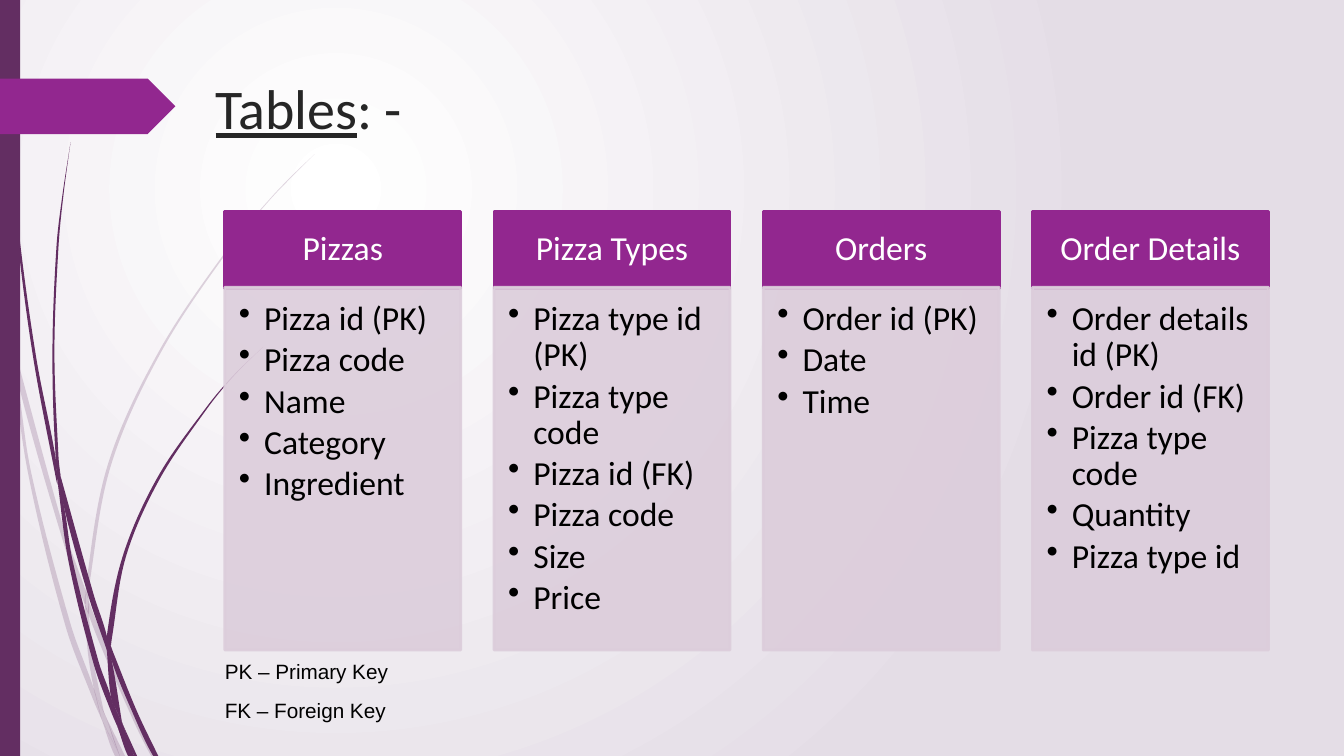
"""Build the slide that lists the tables of a pizza sales database."""
from math import dist
from lxml.etree import SubElement
from pptx import Presentation
from pptx.dml.color import RGBColor
from pptx.enum.shapes import MSO_SHAPE as Preset
from pptx.enum.text import MSO_ANCHOR as Anchor, MSO_AUTO_SIZE as AutoSize, PP_ALIGN as Align
from pptx.oxml.ns import qn
from pptx.util import Inches, Pt

TITLE = ("Tables", ": -")
TABLES = {
    "Pizzas": ["Pizza id (PK)", "Pizza code", "Name", "Category", "Ingredient"],
    "Pizza Types": ["Pizza type id (PK)", "Pizza type code", "Pizza id (FK)",
                    "Pizza code", "Size", "Price"],
    "Orders": ["Order id (PK)", "Date", "Time"],
    "Order Details": ["Order details id (PK)", "Order id (FK)", "Pizza type code",
                      "Quantity", "Pizza type id"],
}
KEY_NOTES = ["PK – Primary Key", "FK – Foreign Key"]

PLUM, PURPLE, LILAC = "632E62", "92278F", "DCCDDB"
WHITE, MIST, BLACK, CHARCOAL = "FFFFFF", "E4DDE6", "000000", "262626"
COLUMN_LEFT, COLUMN_PITCH, COLUMN_WIDTH = 2.23, 2.67, 2.34
HEADER_TOP, HEADER_HEIGHT = 2.1, 0.76
FIELDS_TOP, FIELDS_HEIGHT = 2.85, 3.6

FAINT_WISPS = [
    ([(0, 2.82), (0.09, 3.22), (0.11, 3.5)], [(0.1, 3.44), (0, 2.99)]),
    ([(0.14, 3.45), (0.62, 5.2), (0.85, 5.86)], [(0.84, 5.99), (0.58, 5.22), (0.17, 3.76)]),
    ([(0.88, 5.96), (0.92, 6.07), (1.27, 6.92), (1.55, 7.5)],
     [(1.5, 7.5), (1.23, 6.94), (0.88, 6.1)]),
    ([(1.05, 7.11), (1.24, 7.5)], [(1.19, 7.5)]),
    ([(0.11, 3.5), (0.17, 3.76), (0.31, 4.69), (0.7, 6.19), (0.93, 6.83), (1.01, 7.14)],
     [(0.92, 6.93), (0.65, 6.21), (0.28, 4.7)]),
    ([(0.84, 5.99), (0.88, 6.1), (0.91, 6.46), (1.03, 7.06), (1.05, 7.11)],
     [(0.96, 6.92), (0.93, 6.83), (0.87, 6.46)]),
    ([(3.12, 1.53), (2.89, 1.75), (2.68, 1.97), (2.28, 2.44), (1.58, 3.48), (1.07, 4.61),
      (0.85, 5.84), (0.88, 5.96)],
     [(0.88, 5.84), (1.1, 4.62), (1.6, 3.49), (2.29, 2.45), (2.68, 1.98), (2.9, 1.75)]),
    ([(1.01, 7.14), (1.19, 7.5)], [(1.14, 7.5)]),
    ([(0.85, 5.86), (0.88, 5.96), (0.88, 6.1)], [(0.84, 5.99)]),
    ([(0.93, 6.83), (0.96, 6.92), (1.05, 7.11), (1.19, 7.5)], [(1.01, 7.14), (0.99, 7.07)]),
]
DARK_WISPS = [
    ([(0.04, 0), (0.05, 0.48), (0.08, 1.09), (0.19, 2.32), (0.36, 3.55), (0.55, 4.53), (0.57, 4.81)],
     [(0.56, 4.77), (0.33, 3.55), (0.17, 2.33), (0.07, 1.1), (0.04, 0.48), (0.03, 0)]),
    ([(0.6, 4.72), (0.93, 5.9), (1.06, 6.31), (1.06, 6.45)], [(0.88, 5.92), (0.64, 5.05)]),
    ([(1.1, 6.41), (1.13, 6.49), (1.36, 7.06), (1.57, 7.5)],
     [(1.52, 7.5), (1.32, 7.08), (1.11, 6.56)]),
    ([(0.57, 4.77), (0.64, 5.05), (0.72, 5.56), (0.98, 6.57), (1.1, 6.91), (1.17, 7.22)],
     [(1.11, 7.08), (0.93, 6.59), (0.68, 5.57)]),
    ([(0.7, 1.41), (0.63, 1.93), (0.58, 2.45), (0.54, 3.49), (0.58, 4.53), (0.6, 4.72)],
     [(0.55, 4.49), (0.52, 3.49), (0.56, 2.45), (0.62, 1.93)]),
    ([(1.22, 7.19), (1.36, 7.5)], [(1.33, 7.5)]),
    ([(0.55, 4.49), (0.6, 4.72), (0.64, 5.05)], [(0.57, 4.77)]),
    ([(2.61, 3.44), (2.31, 3.74), (2.05, 4.06), (1.58, 4.76), (1.25, 5.52), (1.11, 6.33), (1.1, 6.41)],
     [(1.06, 6.31), (1.22, 5.51), (1.56, 4.74), (2.04, 4.05), (2.31, 3.73)]),
    ([(1.17, 7.22), (1.31, 7.5)], [(1.27, 7.5)]),
    ([(1.06, 6.45), (1.11, 6.56), (1.21, 7.16), (1.22, 7.19)], [(1.16, 7.06), (1.1, 6.91)]),
    ([(1.06, 6.31), (1.1, 6.41), (1.11, 6.56)], [(1.06, 6.45)]),
    ([(1.1, 6.91), (1.16, 7.06), (1.22, 7.19), (1.33, 7.5)], [(1.3, 7.5), (1.17, 7.22)]),
]


def paint(color_format, color, opacity=100):
    color_format.rgb = RGBColor.from_string(color)
    if opacity < 100:
        node = color_format._xFill.find(qn("a:srgbClr"))
        SubElement(node, qn("a:alpha"), val=str(opacity * 1000))


def fill_shape(shape, color, opacity=100, outlined=False):
    shape.shadow.inherit = False
    shape.fill.solid()
    paint(shape.fill.fore_color, color, opacity)
    shape.line.fill.background()
    if outlined:
        shape.line.width = Pt(2)
        shape.line.fill.solid()
        paint(shape.line.color, color, opacity)


def style_run(run, size, color, font="Calibri"):
    run.font.size, run.font.name = Pt(size), font
    paint(run.font.color, color)


def place(shape, left, top, width, height):
    shape.left, shape.top = Inches(left), Inches(top)
    shape.width, shape.height = Inches(width), Inches(height)


def set_frame(frame, anchor, insets):
    frame.word_wrap, frame.auto_size, frame.vertical_anchor = True, AutoSize.NONE, anchor
    (frame.margin_left, frame.margin_top,
     frame.margin_right, frame.margin_bottom) = map(Inches, insets)


def curve_edge(knots):
    padded = [knots[0], *knots, knots[-1]]
    slopes = [[(b - a) / dist(before, after) for a, b in zip(before, after)]
              for before, after in zip(padded, padded[2:])]
    for start, end, leaving, arriving in zip(knots, knots[1:], slopes, slopes[1:]):
        reach = dist(start, end) / 3
        yield ([p + reach * s for p, s in zip(start, leaving)],
               [p - reach * s for p, s in zip(end, arriving)], end)


def add_wisp(shapes, outward, homeward, opacity):
    corners = [(Inches(x), Inches(y)) for x, y in outward + homeward + outward[:1]]
    builder = shapes.build_freeform(*corners[0])
    builder.add_line_segments(corners[1:], close=True)
    wisp = builder.convert_to_shape()
    fill_shape(wisp, PLUM, opacity)
    curves = [*curve_edge(outward), *curve_edge([outward[-1], *homeward, outward[0]])]
    for straight, curve in zip(list(wisp._element.iter(qn("a:lnTo"))), curves):
        bend = straight.makeelement(qn("a:cubicBezTo"))
        for x, y in curve:
            SubElement(bend, qn("a:pt"), x=str(Inches(x) - wisp.left), y=str(Inches(y) - wisp.top))
        straight.getparent().replace(straight, bend)


def add_preset(shapes, preset, left, top, width, height):
    return shapes.add_shape(preset, *map(Inches, (left, top, width, height)))


def add_table_card(shapes, left, name, fields):
    header = add_preset(shapes, Preset.RECTANGLE, left, HEADER_TOP, COLUMN_WIDTH, HEADER_HEIGHT)
    fill_shape(header, PURPLE, outlined=True)
    set_frame(header.text_frame, Anchor.MIDDLE, (0.19, 0.11, 0.19, 0.11))
    header.text_frame.text = name
    heading = header.text_frame.paragraphs[0]
    heading.alignment, heading.line_spacing = Align.CENTER, 0.9
    style_run(heading.runs[0], 24, WHITE)

    panel = add_preset(shapes, Preset.RECTANGLE, left, FIELDS_TOP, COLUMN_WIDTH, FIELDS_HEIGHT)
    fill_shape(panel, LILAC, 90, outlined=True)
    set_frame(panel.text_frame, Anchor.TOP, (0.14, 0.14, 0.19, 0.21))
    panel.text_frame.text = "\n".join(fields)
    for field in panel.text_frame.paragraphs:
        field.alignment, field.line_spacing, field.space_after = Align.LEFT, 0.9, Pt(3.6)
        set_bullet(field, 0.25, "a:buChar", char="•")
        style_run(field.runs[0], 24, BLACK)


def set_bullet(paragraph, indent, tag, **attributes):
    properties = paragraph._p.get_or_add_pPr()
    properties.set("marL", str(Inches(indent)))
    properties.set("indent", str(-Inches(indent)))
    SubElement(properties, qn(tag), **attributes)


def set_background(slide):
    backdrop = slide.background.fill
    backdrop.gradient()
    for stop, color in zip(backdrop.gradient_stops, (WHITE, MIST)):
        paint(stop.color, color)
    gradient = next(slide.element.iter(qn("a:gradFill")))
    gradient.remove(gradient.find(qn("a:lin")))
    circle = SubElement(gradient, qn("a:path"), path="circle")
    SubElement(circle, qn("a:fillToRect"), l="50000", t="50000", r="100000", b="100000")


def write_title(title):
    place(title, 1.93, 0.68, 10.65, 1.4)
    set_frame(title.text_frame, Anchor.TOP, (0.21, 0.05, 0.1, 0.05))
    heading = title.text_frame.paragraphs[0]
    heading.alignment = Align.LEFT
    for part in TITLE:
        run = heading.add_run()
        run.text = part
        style_run(run, 40, CHARCOAL)
    heading.runs[0].font.underline = True


def write_key_notes(notes):
    place(notes, 2.13, 6.49, 10.25, 0.67)
    set_frame(notes.text_frame, Anchor.TOP, (0.1, 0.05, 0.1, 0.05))
    notes.text_frame.text = "\n".join(KEY_NOTES)
    for note in notes.text_frame.paragraphs:
        note.alignment, note.space_before = Align.LEFT, Pt(10)
        set_bullet(note, 0, "a:buNone")
        style_run(note.runs[0], 14.8, BLACK, "Arial")


def main():
    deck = Presentation()
    deck.slide_width, deck.slide_height = Inches(13.33), Inches(7.5)
    slide = deck.slides.add_slide(deck.slide_layouts[1])
    shapes = slide.shapes
    set_background(slide)
    write_title(shapes.title)
    write_key_notes(slide.placeholders[1])
    for wisps, opacity in ((FAINT_WISPS, 20), (DARK_WISPS, 100)):
        for outward, homeward in wisps:
            add_wisp(shapes, outward, homeward, opacity)
    fill_shape(add_preset(shapes, Preset.RECTANGLE, 0, 0, 0.2, 7.5), PLUM)
    fill_shape(add_preset(shapes, Preset.PENTAGON, 0, 0.78, 1.74, 0.55), PURPLE)
    for column, (name, fields) in enumerate(TABLES.items()):
        add_table_card(shapes, COLUMN_LEFT + column * COLUMN_PITCH, name, fields)
    deck.save("out.pptx")


if __name__ == "__main__":
    main()
